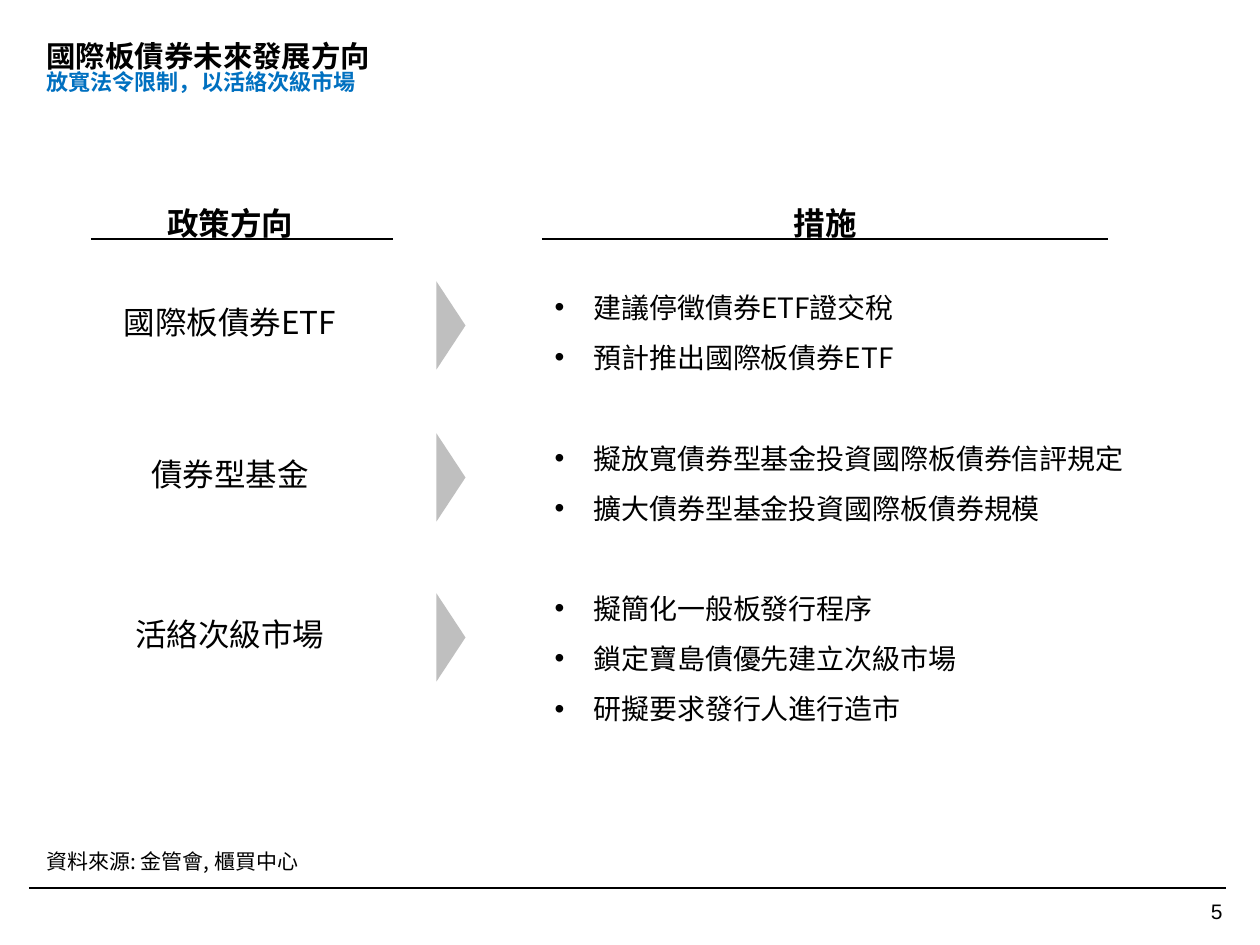
from lxml.etree import SubElement
from pptx import Presentation
from pptx.dml.color import RGBColor
from pptx.enum.shapes import MSO_CONNECTOR, MSO_SHAPE
from pptx.enum.text import MSO_ANCHOR, MSO_AUTO_SIZE, PP_ALIGN
from pptx.oxml.ns import qn
from pptx.util import Emu, Pt

EMU_PER_PX = 914400 / 126
BLACK = RGBColor(0x00, 0x00, 0x00)
BLUE = RGBColor(0x00, 0x70, 0xC0)
GRAY = RGBColor(0xBF, 0xBF, 0xBF)
CJK_FONT = "Noto Sans CJK SC"
COMPARISON_LAYOUT = 4

LABEL_CENTER = 230
LIST_LEFT = 542

# Label, label width, label wraps, label top, list top, list height, measures
ROWS = [
    ("國際板債券ETF", 240, True, 297, 267, 113,
     ["建議停徵債券ETF證交稅", "預計推出國際板債券ETF"]),
    ("債券型基金", 183, False, 449, 418, 113,
     ["擬放寬債券型基金投資國際板債券信評規定", "擴大債券型基金投資國際板債券規模"]),
    ("活絡次級市場", 214, False, 609, 568, 164,
     ["擬簡化一般板發行程序", "鎖定寶島債優先建立次級市場", "研擬要求發行人進行造市"]),
]


def px(length):
    return Emu(round(length * EMU_PER_PX))


class PolicySlide:
    def __init__(self, page, font=CJK_FONT):
        self.page = page
        self.font = font
        self.bodies = [holder for holder in page.placeholders
                       if holder != page.shapes.title]

    def place(self, shape, left, top, width, height):
        shape.left, shape.top = px(left), px(top)
        shape.width, shape.height = px(width), px(height)

    def format_text(self, paragraph, size, color=BLACK, bold=False, font=None):
        """Style every run, naming the font for Latin and East Asian text."""
        for span in paragraph.runs:
            span.font.size = Pt(size)
            span.font.bold = bold
            span.font.color.rgb = color
            span.font.name = font or self.font
            SubElement(span.font._element, qn("a:ea"), typeface=font or self.font)

    def title(self, heading, subtitle):
        box = self.page.shapes.title
        self.place(box, 34, 30, 1171, 79)
        frame = box.text_frame
        frame.text = f"{heading}\n{subtitle}"
        frame.vertical_anchor = MSO_ANCHOR.MIDDLE
        frame.auto_size = MSO_AUTO_SIZE.NONE
        styles = [(16.8, BLACK), (12.6, BLUE)]
        for paragraph, (size, color) in zip(frame.paragraphs, styles):
            paragraph.alignment = PP_ALIGN.LEFT
            paragraph.line_spacing = 0.8
            paragraph.space_before = Pt(0)
            self.format_text(paragraph, size, color, bold=True)

    def text(self, words, left, top, width, height, size=18,
             align=PP_ALIGN.CENTER, bold=False, wrap=True, font=None):
        box = self.page.shapes.add_textbox(
            px(left), px(top), px(width), px(height))
        frame = box.text_frame
        frame.text = words
        frame.word_wrap = wrap
        frame.paragraphs[0].alignment = align
        self.format_text(frame.paragraphs[0], size, bold=bold, font=font)

    def bullets(self, items, left, top, width, height):
        box = self.bodies.pop(0)
        self.place(box, left, top, width, height)
        frame = box.text_frame
        frame.text = "\n".join(items)
        frame.vertical_anchor = MSO_ANCHOR.TOP
        frame.auto_size = MSO_AUTO_SIZE.NONE
        for paragraph in frame.paragraphs:
            properties = paragraph._p.get_or_add_pPr()
            properties.set("marL", str(px(39)))
            properties.set("indent", str(px(-39)))
            SubElement(properties, qn("a:buFont"), typeface="Arial")
            SubElement(properties, qn("a:buChar"), char="•")
            paragraph.alignment = PP_ALIGN.LEFT
            paragraph.line_spacing = 1.5
            paragraph.space_before = Pt(0)
            self.format_text(paragraph, 16)

    def rule(self, left, right, y, weight=0.75):
        line = self.page.shapes.add_connector(
            MSO_CONNECTOR.STRAIGHT, px(left), px(y), px(right), px(y))
        line.line.color.rgb = BLACK
        line.line.width = Pt(weight)
        SubElement(line._element.spPr, qn("a:effectLst"))

    def arrow(self, left, top, width, height):
        """Triangle turned to point right; the frame is given before turning."""
        arrow = self.page.shapes.add_shape(
            MSO_SHAPE.ISOSCELES_TRIANGLE, px(left), px(top), px(width), px(height))
        arrow.rotation = 90
        arrow.shadow.inherit = False
        arrow.fill.solid()
        arrow.fill.fore_color.rgb = GRAY
        arrow.line.fill.background()

    def remove_unused(self):
        for holder in self.bodies:
            holder._element.getparent().remove(holder._element)


def main():
    deck = Presentation()
    deck.slide_width, deck.slide_height = px(1260), px(945)
    page = deck.slides.add_slide(deck.slide_layouts[COMPARISON_LAYOUT])
    slide = PolicySlide(page)

    slide.title("國際板債券未來發展方向", "放寬法令限制，以活絡次級市場")
    for heading, left, rule_left, rule_right in [
            ("政策方向", 113, 91, 393), ("措施", 708, LIST_LEFT, 1108)]:
        slide.text(heading, left, 198, 234, 50, bold=True)
        slide.rule(rule_left, rule_right, 239)

    for label, width, wrap, label_top, list_top, list_height, measures in ROWS:
        slide.text(label, LABEL_CENTER - width / 2, label_top, width, 50, wrap=wrap)
        slide.arrow(407, label_top + 14, 88, 29)
        slide.bullets(measures, LIST_LEFT, list_top, 630, list_height)

    slide.text("資料來源: 金管會, 櫃買中心", 34, 842, 1024, 38,
               size=12, align=PP_ALIGN.LEFT)
    slide.rule(29, 1226, 888, weight=1)
    slide.text("5", 941, 892, 294, 35, size=12, align=PP_ALIGN.RIGHT, font="Arial")
    slide.remove_unused()
    deck.save("out.pptx")


if __name__ == "__main__":
    main()
